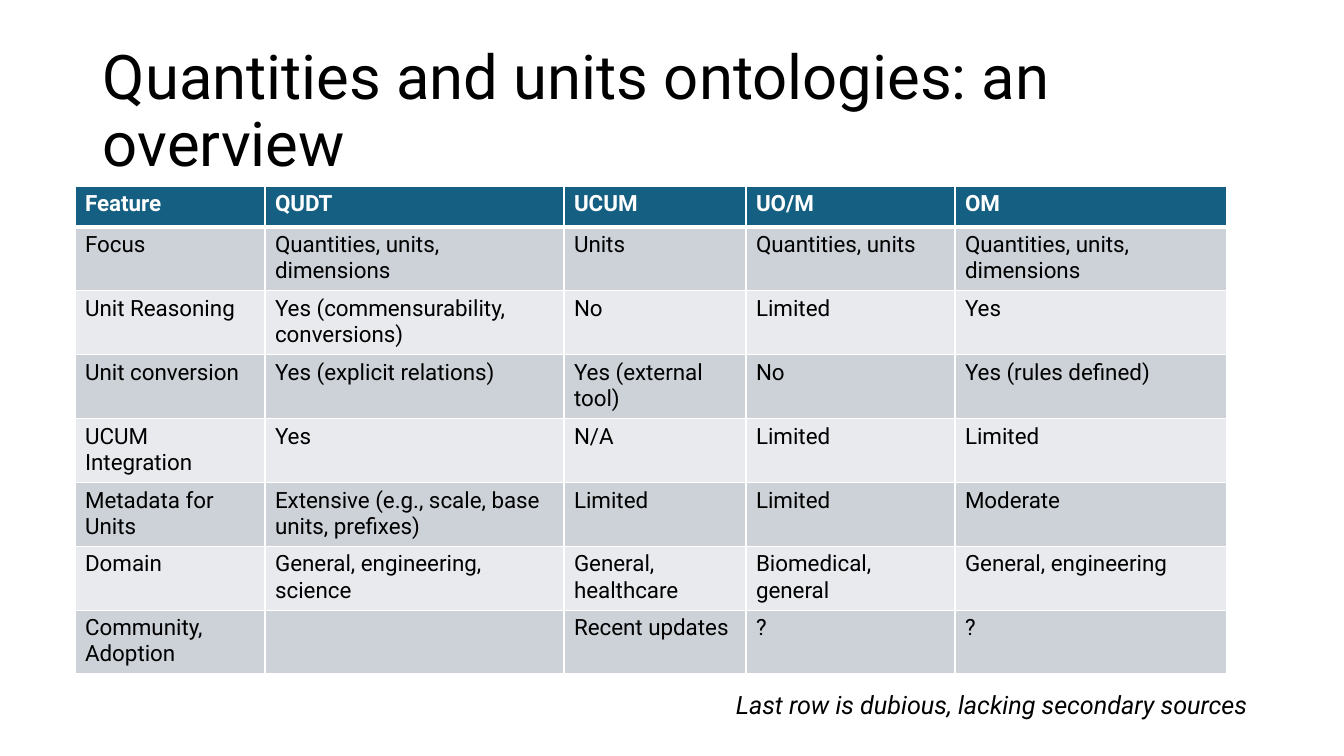
from lxml import etree
from pptx import Presentation
from pptx import util as u
from pptx.dml.color import RGBColor
from pptx.enum import text
from pptx.oxml import ns

EMU_PER_PX = 914400 / 100.8
FONT = "Roboto"
COLORS = {
    "ink": "000000",
    "paper": "FFFFFF",
    "header": "156082",
    "band_dark": "CCD2D8",
    "band_light": "E8EAED",
}
COLUMN_WIDTHS = [190, 299, 182, 209, 272]
HEADER_HEIGHT, ROW_HEIGHT = 41, 62
ONTOLOGIES = [
    ["Feature", "QUDT", "UCUM", "UO/M", "OM"],
    ["Focus", "Quantities, units, dimensions", "Units", "Quantities, units",
     "Quantities, units, dimensions"],
    ["Unit Reasoning", "Yes (commensurability, conversions)", "No", "Limited", "Yes"],
    ["Unit conversion", "Yes (explicit relations)", "Yes (external tool)", "No",
     "Yes (rules defined)"],
    ["UCUM Integration", "Yes", "N/A", "Limited", "Limited"],
    ["Metadata for Units", "Extensive (e.g., scale, base units, prefixes)", "Limited",
     "Limited", "Moderate"],
    ["Domain", "General, engineering, science", "General, healthcare",
     "Biomedical, general", "General, engineering"],
    ["Community,\nAdoption", "", "Recent updates", "?", "?"],
]


def px(length):
    return u.Emu(round(length * EMU_PER_PX))


def rgb(name):
    return RGBColor.from_string(COLORS[name])


def add_text(para, words, size, color="ink", bold=False, italic=False):
    """Add one run per line of words, with line breaks between them."""
    for index, line in enumerate(words.split("\n")):
        if index:
            para.add_line_break()
        span = para.add_run()
        span.text = line
        span.font.name = FONT
        span.font.size = u.Pt(size)
        span.font.color.rgb = rgb(color)
        span.font.bold = bold
        span.font.italic = italic


def add_text_box(page, left, top, width, height, wrap=True):
    box = page.shapes.add_textbox(px(left), px(top), px(width), px(height))
    box.text_frame.word_wrap = wrap
    return box.text_frame


def add_title(page, words):
    frame = add_text_box(page, 93, 40, 1159, 146)
    frame.vertical_anchor = text.MSO_ANCHOR.MIDDLE
    frame.paragraphs[0].line_spacing = 0.9
    add_text(frame.paragraphs[0], words, 44)


def add_note(page, words):
    frame = add_text_box(page, 726, 684, 534, 40, wrap=False)
    frame.auto_size = text.MSO_AUTO_SIZE.SHAPE_TO_FIT_TEXT
    add_text(frame.paragraphs[0], words, 18, italic=True)


def set_borders(cell, top, bottom):
    """Draw white cell borders; top and bottom are widths in points."""
    properties = cell._tc.get_or_add_tcPr()
    for side, width in (("L", 1), ("R", 1), ("T", top), ("B", bottom)):
        line = etree.SubElement(properties, ns.qn(f"a:ln{side}"), w=str(u.Pt(width)))
        fill = etree.SubElement(line, ns.qn("a:solidFill"))
        etree.SubElement(fill, ns.qn("a:srgbClr"), val=COLORS["paper"])


def add_comparison_table(page, rows):
    heights = [HEADER_HEIGHT] + [ROW_HEIGHT] * (len(rows) - 1)
    table = page.shapes.add_table(
        len(rows), len(COLUMN_WIDTHS), px(75), px(186),
        px(sum(COLUMN_WIDTHS)), px(sum(heights))).table
    for column, width in zip(table.columns, COLUMN_WIDTHS):
        column.width = px(width)
    for row_index, words_in_row in enumerate(rows):
        table.rows[row_index].height = px(heights[row_index])
        is_header = row_index == 0
        band = "band_dark" if row_index % 2 else "band_light"
        for column_index, words in enumerate(words_in_row):
            cell = table.cell(row_index, column_index)
            set_borders(cell, top=3 if row_index == 1 else 1, bottom=3 if is_header else 1)
            cell.fill.solid()
            cell.fill.fore_color.rgb = rgb("header" if is_header else band)
            if words:
                add_text(cell.text_frame.paragraphs[0], words, 16,
                         "paper" if is_header else "ink", bold=is_header)


def main():
    deck = Presentation()
    deck.slide_width, deck.slide_height = px(1344), px(756)
    page = deck.slides.add_slide(deck.slide_layouts[6])
    add_title(page, "Quantities and units ontologies: an overview")
    add_comparison_table(page, ONTOLOGIES)
    add_note(page, "Last row is dubious, lacking secondary sources")
    deck.save("out.pptx")


if __name__ == "__main__":
    main()
